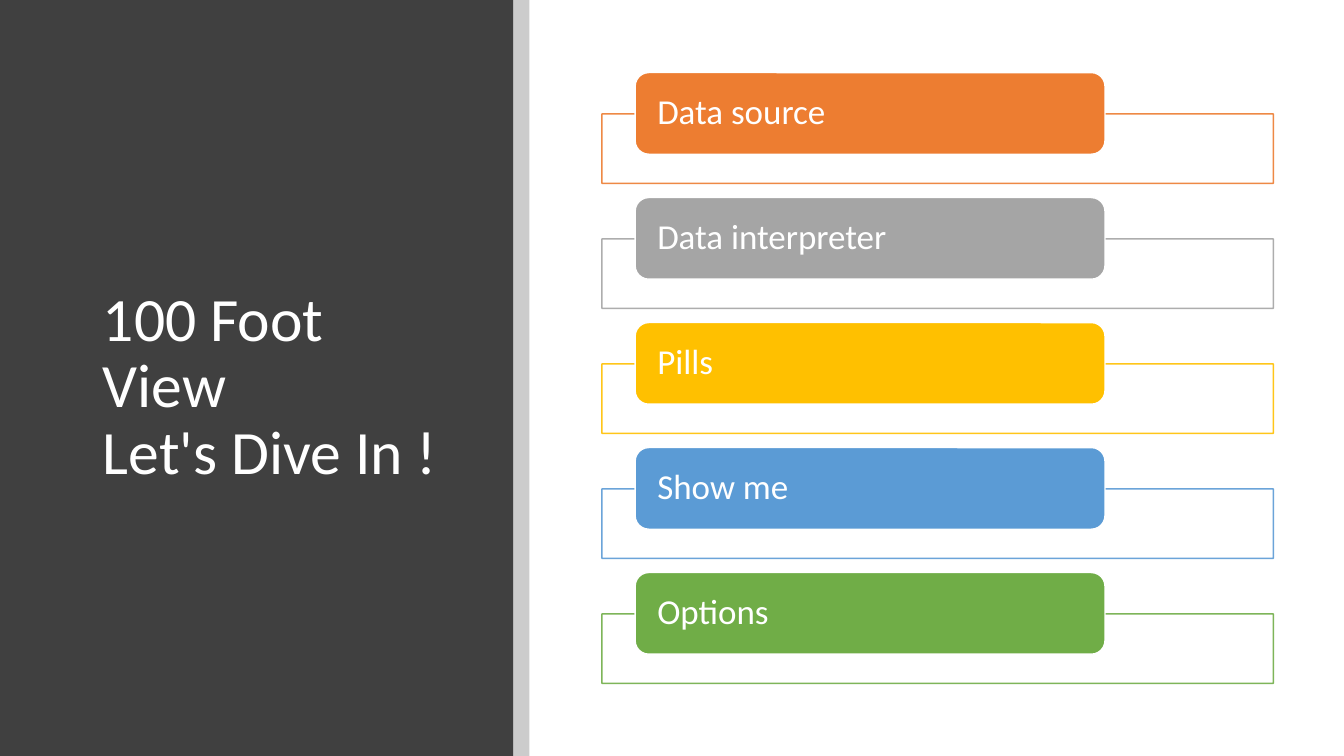
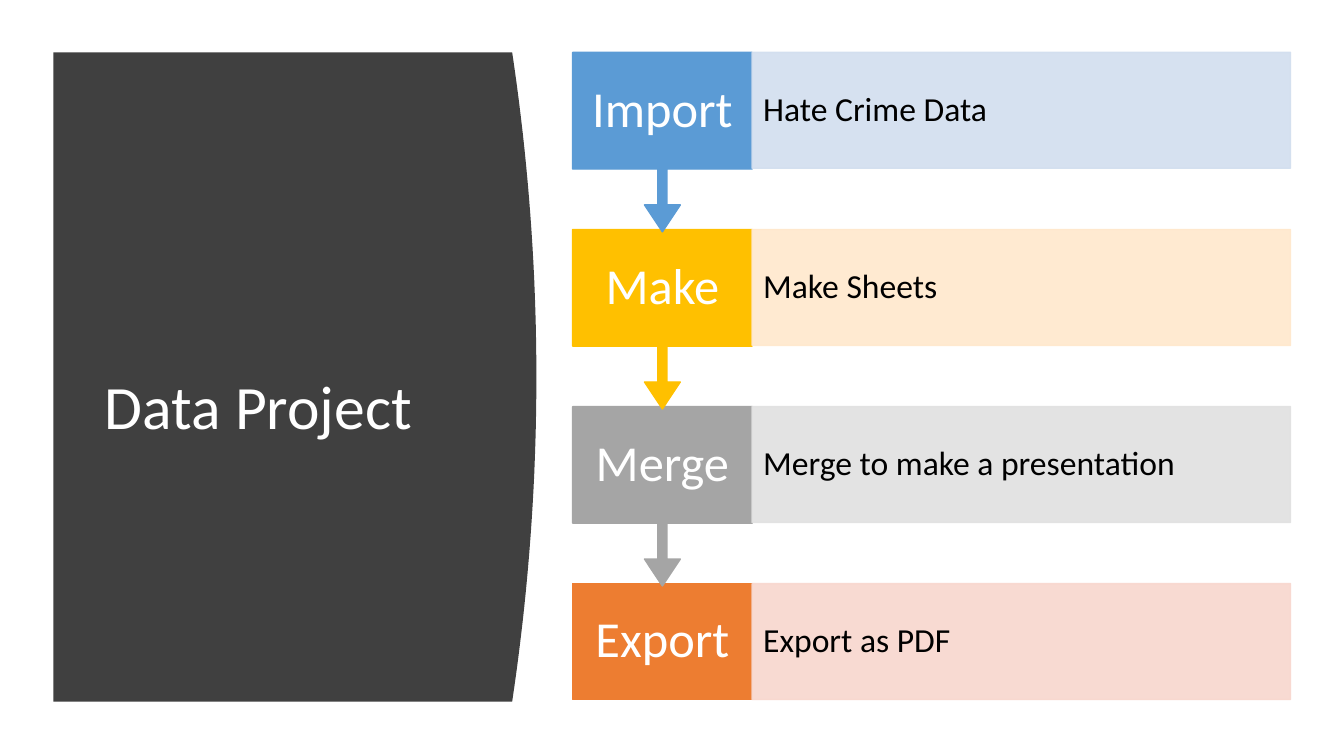
"""Build two slides: a list of topics and a four-step data project."""
from lxml import etree
from pptx import Presentation
from pptx import util as u
from pptx.dml.color import RGBColor
from pptx.enum import shapes, text
from pptx.oxml.ns import qn

FONT = "Calibri"
DARK, WHITE, BLACK = "404040", "FFFFFF", "000000"
ORANGE, GRAY, GOLD, BLUE, GREEN = "ED7D31", "A5A5A5", "FFC000", "5B9BD5", "70AD47"
SHAPE = shapes.MSO_SHAPE
LEFT, CENTER = text.PP_ALIGN.LEFT, text.PP_ALIGN.CENTER


def paint(sp, fill, line=None, alpha=100):
    """Fill and outline a shape in hex colours, without a shadow."""
    sp.shadow.inherit = False
    sp.fill.solid()
    sp.fill.fore_color.rgb = RGBColor.from_string(fill)
    if line:
        sp.line.color.rgb = RGBColor.from_string(line)
        sp.line.width = u.Pt(1)
    else:
        sp.line.fill.background()
    if alpha < 100:
        for clr in sp.element.spPr.iter(qn("a:srgbClr")):
            etree.SubElement(clr, qn("a:alpha"), val=str(alpha * 1000))


def write(sp, words, size, color, inset, align=LEFT):
    """Put one vertically centred paragraph into a shape."""
    tf = sp.text_frame
    tf.word_wrap = True
    tf.auto_size = text.MSO_AUTO_SIZE.NONE
    tf.vertical_anchor = text.MSO_ANCHOR.MIDDLE
    tf.margin_left = tf.margin_right = u.Inches(inset)
    tf.margin_top = tf.margin_bottom = 0
    p = tf.paragraphs[0]
    p.text = words
    p.alignment = align
    p.line_spacing = 0.9
    p.font.name = FONT
    p.font.size = u.Pt(size)
    p.font.color.rgb = RGBColor.from_string(color)


prs = Presentation()
prs.slide_width, prs.slide_height = u.Inches(13.33), u.Inches(7.5)
title_only = prs.slide_layouts[5]

topics = prs.slides.add_slide(title_only)
panel = topics.shapes.add_shape(SHAPE.RECTANGLE, 0, 0, u.Inches(5.09), prs.slide_height)
paint(panel, DARK)
band = topics.shapes.add_shape(
    SHAPE.RECTANGLE, u.Inches(5.09), 0, u.Inches(0.16), prs.slide_height)
paint(band, BLACK, alpha=20)

rows = [("Data source", ORANGE), ("Data interpreter", GRAY), ("Pills", GOLD),
        ("Show me", BLUE), ("Options", GREEN)]
for i, (words, color) in enumerate(rows):
    top = 0.72 + 1.24 * i
    frame = topics.shapes.add_shape(
        SHAPE.RECTANGLE, u.Inches(5.97), u.Inches(top + 0.41), u.Inches(6.66), u.Inches(0.69))
    paint(frame, WHITE, color, alpha=90)
    for clr in frame.line.fill.fore_color, :
        clr.rgb = RGBColor.from_string(color)
    label = topics.shapes.add_shape(
        SHAPE.ROUNDED_RECTANGLE, u.Inches(6.3), u.Inches(top), u.Inches(4.66), u.Inches(0.81))
    paint(label, color, WHITE)
    write(label, words, 25, WHITE, 0.18)

project = prs.slides.add_slide(title_only)
top, bottom, edge, bulge = 0.52, 6.96, 5.08, 0.24
steps = 40
curve = []
for i in range(steps + 1):
    t = i / steps
    curve.append((u.Inches(edge + bulge * 4 * t * (1 - t)),
                  u.Inches(top + (bottom - top) * t)))
outline = project.shapes.build_freeform(u.Inches(0.53), u.Inches(top))
outline.add_line_segments(curve + [(u.Inches(0.53), u.Inches(bottom))], close=True)
curved_panel = outline.convert_to_shape()
paint(curved_panel, DARK)

stages = [("Import", "Hate Crime Data", BLUE, "D2DEEF"),
          ("Make", "Make Sheets", GOLD, "FFE8CC"),
          ("Merge", "Merge to make a presentation", GRAY, "E1E1E1"),
          ("Export", "Export as PDF", ORANGE, "F8D7CE")]
last = len(stages) - 1
for i, (verb, detail, color, tint) in reversed(list(enumerate(stages))):
    y = u.Inches(top + 5.27 / last * i)
    kind, height = (SHAPE.RECTANGLE, 1.15) if i == last else (SHAPE.DOWN_ARROW_CALLOUT, 1.78)
    step = project.shapes.add_shape(kind, u.Inches(5.68), y, u.Inches(1.78), u.Inches(height))
    if i < last:
        for n, value in enumerate((0.05, 0.1, 0.15, 0.65)):
            step.adjustments[n] = value
    paint(step, color, color)
    write(step, verb, 36, WHITE, 0.13, CENTER)
    bar = project.shapes.add_shape(
        SHAPE.RECTANGLE, u.Inches(7.46), y, u.Inches(5.34), u.Inches(1.15))
    paint(bar, tint, tint, alpha=90)
    write(bar, detail, 24, BLACK, 0.11)

titles = [(topics, panel, "100 Foot View \vLet's Dive In !", (0.92, 0.89, 3.65, 5.91)),
          (project, curved_panel, "Data Project", (0.94, 1.44, 3.74, 5.24))]
for s, backdrop, words, place in titles:
    title = s.shapes.title
    title.left, title.top, title.width, title.height = map(u.Inches, place)
    write(title, words, 44, WHITE, 0.1)
    backdrop.element.addnext(title.element)

prs.save("out.pptx")
